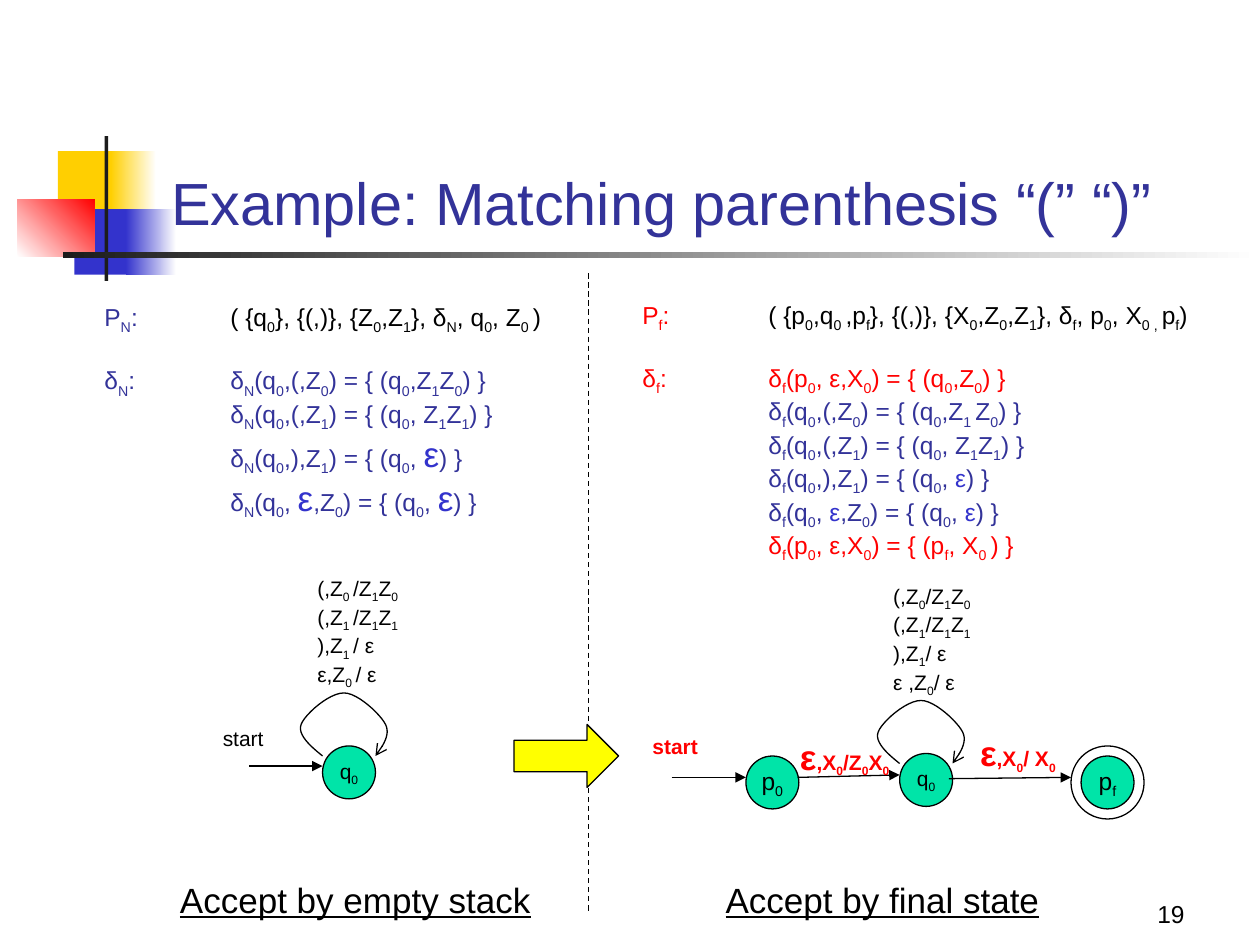
from dataclasses import dataclass
from typing import Optional

from lxml import etree
from pptx import Presentation
from pptx.dml.color import RGBColor
from pptx.enum.dml import MSO_LINE
from pptx.enum.shapes import MSO_CONNECTOR, MSO_SHAPE
from pptx.enum.text import MSO_ANCHOR, MSO_AUTO_SIZE, PP_ALIGN
from pptx.oxml.ns import qn
from pptx.util import Inches, Pt

RECTANGLE, OVAL, RIGHT_ARROW = MSO_SHAPE.RECTANGLE, MSO_SHAPE.OVAL, MSO_SHAPE.RIGHT_ARROW
STRAIGHT, DASH = MSO_CONNECTOR.STRAIGHT, MSO_LINE.DASH
TOP, MIDDLE, BOTTOM = MSO_ANCHOR.TOP, MSO_ANCHOR.MIDDLE, MSO_ANCHOR.BOTTOM
LEFT, CENTER, RIGHT = PP_ALIGN.LEFT, PP_ALIGN.CENTER, PP_ALIGN.RIGHT
GROW, FIXED = MSO_AUTO_SIZE.SHAPE_TO_FIT_TEXT, MSO_AUTO_SIZE.NONE

BLACK, WHITE, RED, NAVY, BLUE = "000000", "FFFFFF", "FF0000", "333399", "3333CC"
GOLD, CHARCOAL, GREEN, YELLOW = "FFCF01", "1C1C1C", "00E4A8", "FFFF00"
STATE_SIZE = 0.42
CURVE_STEPS = 12


@dataclass
class Span:
    text: str
    color: str = BLACK
    size: float = 14
    bold: bool = False
    underline: bool = False


@dataclass
class Label:
    box: tuple
    lines: list[list[Span]]
    wrap: bool = False
    anchor: MSO_ANCHOR = TOP
    align: PP_ALIGN = LEFT
    fit: MSO_AUTO_SIZE = GROW
    second_gap: float = 0
    tab_stop: float = 0


@dataclass
class Block:
    box: tuple
    color: str
    end_color: Optional[str] = None
    angle: float = 0


@dataclass
class State:
    left: float
    top: float
    name: str
    size: float


@dataclass
class Arrow:
    start: tuple
    end: tuple


def rgb(color: str) -> RGBColor:
    return RGBColor.from_string(color)


def lengths(values: tuple) -> list:
    return [Inches(value) for value in values]


def add_line_end(shape, kind: str) -> None:
    outline = shape.element.spPr.find(qn("a:ln"))
    etree.SubElement(outline, qn("a:tailEnd"), type=kind)


def outline_black(shape) -> None:
    shape.line.color.rgb = rgb(BLACK)
    shape.line.width = Pt(0.75)


def write_span(paragraph, span: Span) -> None:
    for index, piece in enumerate(span.text.replace("]", "[").split("[")):
        if not piece:
            continue
        run = paragraph.add_run()
        run.text = piece
        font_format = {"name": "Arial", "size": Pt(span.size),
                       "bold": span.bold, "underline": span.underline}
        for attribute, value in font_format.items():
            setattr(run.font, attribute, value)
        run.font.color.rgb = rgb(span.color)
        if index % 2:
            run.font._element.set("baseline", "-25000")


def add_tab_stop(paragraph, position: float) -> None:
    tabs = etree.SubElement(paragraph._p.get_or_add_pPr(), qn("a:tabLst"))
    etree.SubElement(tabs, qn("a:tab"), pos=str(Inches(position)), algn="l")


def write_lines(shape, label: Label) -> None:
    frame = shape.text_frame
    frame_format = {"word_wrap": label.wrap, "vertical_anchor": label.anchor,
                    "auto_size": label.fit}
    for attribute, value in frame_format.items():
        setattr(frame, attribute, value)
    for index, spans in enumerate(label.lines):
        paragraph = frame.add_paragraph() if index else frame.paragraphs[0]
        paragraph.alignment = label.align
        if index == 1 and label.second_gap:
            paragraph.space_before = Pt(label.second_gap)
        if label.tab_stop:
            add_tab_stop(paragraph, label.tab_stop)
        for span in spans:
            write_span(paragraph, span)


def draw_label(slide, label: Label) -> None:
    write_lines(slide.shapes.add_textbox(*lengths(label.box)), label)


def draw_block(slide, block: Block) -> None:
    shape = slide.shapes.add_shape(RECTANGLE, *lengths(block.box))
    shape.shadow.inherit = False
    shape.line.fill.background()
    if block.end_color is None:
        shape.fill.solid()
        shape.fill.fore_color.rgb = rgb(block.color)
        return
    shape.fill.gradient()
    shape.fill.gradient_angle = block.angle
    for stop, color in zip(shape.fill.gradient_stops, (block.color, block.end_color)):
        stop.color.rgb = rgb(color)


def draw_outlined(slide, kind: MSO_SHAPE, box: tuple, color: Optional[str] = None):
    shape = slide.shapes.add_shape(kind, *lengths(box))
    shape.shadow.inherit = False
    outline_black(shape)
    if color is None:
        shape.fill.background()
    else:
        shape.fill.solid()
        shape.fill.fore_color.rgb = rgb(color)
    return shape


def draw_state(slide, state: State) -> None:
    box = (state.left, state.top, STATE_SIZE, STATE_SIZE)
    shape = draw_outlined(slide, OVAL, box, GREEN)
    write_lines(shape, Label(box, [[Span(state.name, size=state.size)]],
                             anchor=MIDDLE, align=CENTER, fit=FIXED))


def draw_connector(slide, arrow: Arrow):
    connector = slide.shapes.add_connector(STRAIGHT, *lengths(arrow.start + arrow.end))
    outline_black(connector)
    etree.SubElement(connector.element.spPr, qn("a:effectLst"))
    return connector


def draw_arrow(slide, arrow: Arrow) -> None:
    add_line_end(draw_connector(slide, arrow), "triangle")


def curve_point(points: list[tuple], t: float) -> tuple:
    weights = ((1 - t) ** 3, 3 * t * (1 - t) ** 2, 3 * t ** 2 * (1 - t), t ** 3)
    return tuple(Inches(sum(w * point[axis] for w, point in zip(weights, points)))
                 for axis in (0, 1))


def draw_loop(slide, left: float, top: float) -> None:
    knots = [(left + x, top + y) for x, y in (
        (0, 0.08), (-0.1, 0), (-0.2, -0.09), (-0.17, -0.17), (-0.14, -0.25),
        (0.05, -0.42), (0.17, -0.42), (0.28, -0.42), (0.46, -0.25),
        (0.5, -0.17), (0.54, -0.09), (0.48, 0), (0.42, 0.08))]
    points = [curve_point(knots[first:first + 4], step / CURVE_STEPS)
              for first in range(0, len(knots) - 1, 3) for step in range(1, CURVE_STEPS + 1)]
    builder = slide.shapes.build_freeform(*lengths(knots[0]))
    builder.add_line_segments(points, close=False)
    loop = builder.convert_to_shape()
    loop.shadow.inherit = False
    loop.fill.background()
    outline_black(loop)
    add_line_end(loop, "arrow")


def single(box: tuple, *spans: Span, **options) -> Label:
    return Label(box, [list(spans)], **options)


def small_lines(*texts: str) -> list[list[Span]]:
    return [[Span(text, size=12)] for text in texts]


def rule(text: str, epsilon_size: float) -> list[Span]:
    before, *rest = text.split("ε")
    spans = [Span(before, NAVY)]
    for piece in rest:
        spans += [Span("ε", BLUE, epsilon_size), Span(piece, NAVY)]
    return spans


BLOCKS = [
    Block((0.46, 1.2, 0.48, 0.52), GOLD), Block((0.88, 1.2, 0.36, 0.52), GOLD, WHITE),
    Block((0.59, 1.66, 0.46, 0.52), BLUE), Block((1, 1.66, 0.4, 0.52), BLUE, WHITE),
    Block((0.14, 1.58, 0.61, 0.46), WHITE, RED, 45),
    Block((0.83, 1.08, 0.03, 1.15), CHARCOAL), Block((0.5, 2, 9.5, 0.05), CHARCOAL, WHITE)]
STATES = [State(2.56, 5.92, "q[0]", 12), State(7.14, 5.98, "q[0]", 12),
          State(5.92, 6, "p[0]", 14), State(8.58, 6, "p[f]", 14)]
ARROWS = [Arrow((1.98, 6.08), (2.56, 6.08)), Arrow((6.33, 6.17), (7.14, 6.15)),
          Arrow((5.33, 6.17), (5.92, 6.17)), Arrow((7.53, 6.18), (8.5, 6.17))]
EMPTY_STACK_RULES = ["δ[N]:\tδ[N](q[0],(,Z[0]) = { (q[0],Z[1]Z[0]) }",
                     "\tδ[N](q[0],(,Z[1]) = { (q[0], Z[1]Z[1]) }",
                     "\tδ[N](q[0],),Z[1]) = { (q[0], ε) }",
                     "\tδ[N](q[0], ε,Z[0]) = { (q[0], ε) }"]
FINAL_STATE_RULES = ["\tδ[f](q[0],(,Z[0]) = { (q[0],Z[1 ]Z[0]) }",
                     "\tδ[f](q[0],(,Z[1]) = { (q[0], Z[1]Z[1]) }",
                     "\tδ[f](q[0],),Z[1]) = { (q[0], ε) }",
                     "\tδ[f](q[0], ε,Z[0]) = { (q[0], ε) }"]
LABELS = [
    single((7.42, 6.92, 2.08, 0.5), Span("19"),
           wrap=True, anchor=BOTTOM, align=RIGHT, fit=FIXED),
    single((1.26, 0.68, 8.52, 1.25), Span("Example: Matching parenthesis “(” “)”", NAVY, 34),
           wrap=True, anchor=BOTTOM, fit=FIXED),
    Label((0.73, 2.35, 3.7, 1.7),
          [[Span("P[N]:\t", NAVY), Span("( {q[0]}, {(,)}, {Z[0],Z[1]}, δ[N], q[0], Z[0 ])")]]
          + [rule(text, 20) for text in EMPTY_STACK_RULES], second_gap=17, tab_stop=1),
    Label((5, 2.33, 4.67, 1.99),
          [[Span("P[f]:\t", RED),
            Span("( {p[0],q[0 ],p[f]}, {(,)}, {X[0],Z[0],Z[1]}, δ[f], p[0], X[0 , ]p[f])")],
           [Span("δ[f]:\tδ[f](p[0], ε,X[0]) = { (q[0],Z[0]) }", RED)]]
          + [rule(text, 14) for text in FINAL_STATE_RULES]
          + [[Span("\tδ[f](p[0], ε,X[0]) = { (p[f], X[0 ]) }", RED)]],
          wrap=True, second_gap=17, tab_stop=1),
    single((1.67, 5.71, 0.53, 0.3), Span("start", size=12)),
    single((5.08, 5.77, 0.56, 0.3), Span("start", RED, 12, True)),
    Label((2.42, 4.52, 0.88, 0.91), small_lines(
        "(,Z[0 ]/Z[1]Z[0]", "(,Z[1 ]/Z[1]Z[1]", "),Z[1 ]/ ε", "ε,Z[0 ]/ ε")),
    Label((6.99, 4.58, 0.85, 0.91), small_lines(
        "(,Z[0]/Z[1]Z[0]", "(,Z[1]/Z[1]Z[1]", "),Z[1]/ ε", "ε ,Z[0]/ ε")),
    single((6.25, 5.79, 0.94, 0.44), Span("ε", RED, 20, True),
           Span(",X[0]/Z[0]X[0]", RED, 12, True)),
    single((7.68, 5.76, 0.9, 0.44), Span("ε", RED, 20, True),
           Span(",X[0]/ X[0]", RED, 12, True)),
    single((1.33, 6.92, 3, 0.44), Span("Accept by empty stack", size=20, underline=True)),
    single((5.66, 6.92, 2.71, 0.44), Span("Accept by final state", size=20, underline=True)),
]


def main() -> None:
    presentation = Presentation()
    presentation.slide_width, presentation.slide_height = Inches(10), Inches(7.5)
    slide = presentation.slides.add_slide(presentation.slide_layouts[6])
    for block in BLOCKS:
        draw_block(slide, block)
    divider = draw_connector(slide, Arrow((4.67, 2.17), (4.67, 7.25)))
    divider.line.dash_style = DASH
    draw_outlined(slide, OVAL, (8.5, 5.92, 0.58, 0.58))
    for state in STATES:
        draw_state(slide, state)
    for arrow in ARROWS:
        draw_arrow(slide, arrow)
    for state in STATES[:2]:
        draw_loop(slide, state.left, state.top)
    draw_outlined(slide, RIGHT_ARROW, (4.08, 5.75, 0.83, 0.5), YELLOW)
    for label in LABELS:
        draw_label(slide, label)
    presentation.save("out.pptx")


if __name__ == "__main__":
    main()
